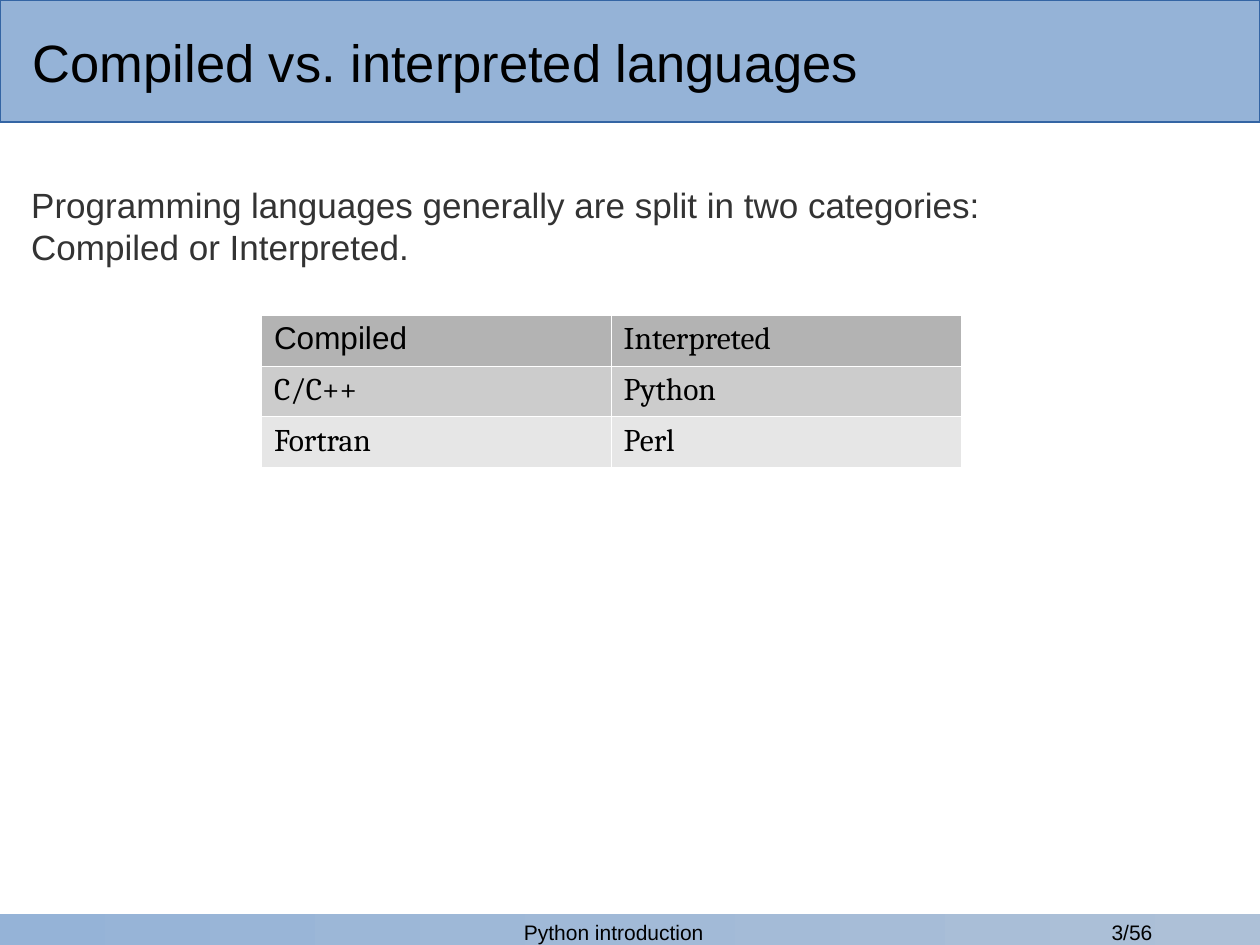
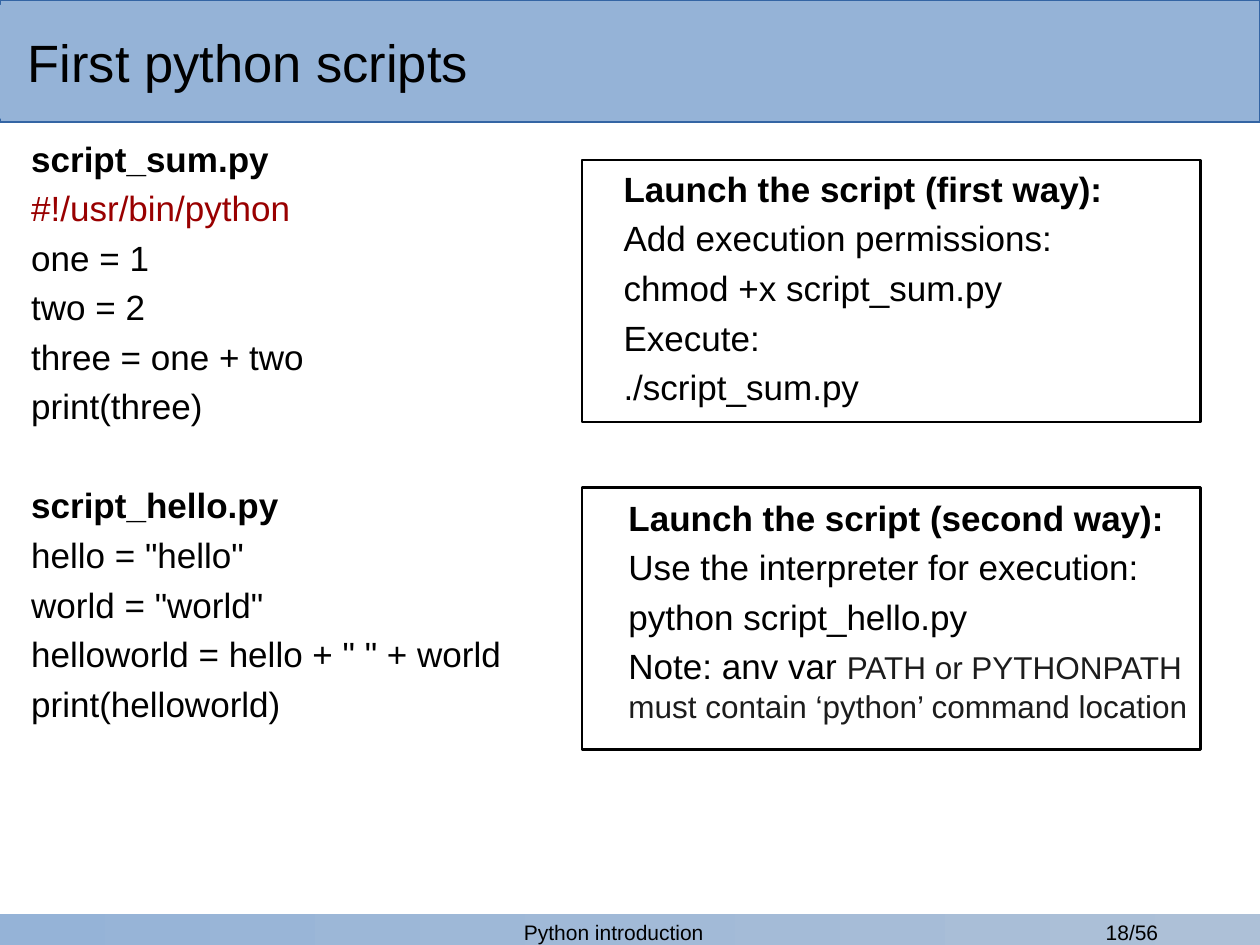
import dataclasses

import lxml.etree
import pptx
import pptx.dml.color
import pptx.enum.shapes
import pptx.enum.text
import pptx.oxml.ns
import pptx.util

Cm = pptx.util.Cm
Pt = pptx.util.Pt
ALIGN = pptx.enum.text.PP_ALIGN
ANCHOR = pptx.enum.text.MSO_ANCHOR
qn = pptx.oxml.ns.qn


@dataclasses.dataclass(frozen=True)
class Theme:
    font: str = "Arial"
    serif: str = "Cambria"
    title_size: int = 30
    body_size: int = 20
    table_size: int = 18
    footer_size: int = 12
    band: str = "95B3D7"
    band_end: str = "ADC0D7"
    band_line: str = "3465A4"
    text: str = "000000"
    intro: str = "333333"
    note: str = "1C1C1C"
    shebang: str = "990000"
    white: str = "FFFFFF"
    rows: tuple = ("B3B3B3", "CCCCCC", "E6E6E6")
    line_gap: float = 4.3
    block_gap: float = 32.6


def rgb(value):
    return pptx.dml.color.RGBColor.from_string(value)


def add_run(p, text, font="Arial", size=20, color="000000", bold=False):
    r = p.add_run()
    r.text = text
    r.font.name = font
    r.font.size = Pt(size)
    r.font.bold = bold
    r.font.color.rgb = rgb(color)


class Deck:
    def __init__(self, theme):
        self.theme = theme
        self.prs = pptx.Presentation()
        self.prs.slide_width = Cm(25.4)
        self.prs.slide_height = Cm(19.05)
        self.s = None

    def slide(self, title, page, title_left=0):
        t = self.theme
        self.s = self.prs.slides.add_slide(self.prs.slide_layouts[5])
        self.rect(0, 0, 25.4, 2.46, fill=t.band, line=t.band_line, weight=0)
        footer = self.rect(0, 18.42, 25.4, 0.63)
        footer.fill.gradient()
        footer.fill.gradient_angle = 0
        for stop, color, position in zip(footer.fill.gradient_stops, (t.band, t.band_end), (0, 1)):
            stop.color.rgb = rgb(color)
            stop.position = position
        for text, left, width in (("Python introduction", 8.26, 8.23), (page, 20.24, 5.16)):
            self.text([text], left, 18.42, width, 0.63, align=ALIGN.CENTER, size=t.footer_size)
        self.title(title, title_left)

    def title(self, text, left):
        t = self.theme
        sp = self.s.shapes.title
        sp.left, sp.top, sp.width, sp.height = Cm(left), Cm(0.1), Cm(20.95), Cm(2.29)
        sp.fill.solid()
        sp.fill.fore_color.rgb = rgb(t.band)
        tf = sp.text_frame
        tf.auto_size = pptx.enum.text.MSO_AUTO_SIZE.NONE
        tf.vertical_anchor = ANCHOR.MIDDLE
        tf.margin_left = Cm(0.56)
        p = tf.paragraphs[0]
        p.alignment = ALIGN.LEFT
        add_run(p, text, font=t.font, size=t.title_size, color=t.text)
        sp.element.getparent().append(sp.element)

    def rect(self, left, top, width, height, fill=None, line=None, weight=1.45):
        sp = self.s.shapes.add_shape(
            pptx.enum.shapes.MSO_SHAPE.RECTANGLE, Cm(left), Cm(top), Cm(width), Cm(height))
        sp.shadow.inherit = False
        if fill:
            sp.fill.solid()
            sp.fill.fore_color.rgb = rgb(fill)
        else:
            sp.fill.background()
        if line:
            sp.line.color.rgb = rgb(line)
            sp.line.width = Pt(weight)
        else:
            sp.line.fill.background()
        return sp

    def text(self, lines, left, top, width, height, gap=0, align=ALIGN.LEFT, **style):
        tf = self.s.shapes.add_textbox(Cm(left), Cm(top), Cm(width), Cm(height)).text_frame
        tf.word_wrap = True
        for i, line in enumerate(lines):
            p = tf.paragraphs[0] if i == 0 else tf.add_paragraph()
            p.alignment = align
            p.space_before = Pt(gap if i else 0)
            for part in line if isinstance(line, list) else [line]:
                text, extra = (part, {}) if isinstance(part, str) else part
                add_run(p, text, **{"font": self.theme.font, **style, **extra})
        return tf

    def table(self, rows, left, top, col_width, heights):
        t = self.theme
        table = self.s.shapes.add_table(
            len(rows), len(rows[0]), Cm(left), Cm(top),
            Cm(col_width * len(rows[0])), Cm(sum(heights))).table
        for column in table.columns:
            column.width = Cm(col_width)
        for i, values in enumerate(rows):
            table.rows[i].height = Cm(heights[i])
            for j, value in enumerate(values):
                cell = table.cell(i, j)
                font = t.font if i == j == 0 else t.serif
                add_run(cell.text_frame.paragraphs[0], value, font=font, size=t.table_size, color=t.text)
                self.borders(cell)
                cell.fill.solid()
                cell.fill.fore_color.rgb = rgb(t.rows[i])

    def borders(self, cell):
        tc_pr = cell._tc.get_or_add_tcPr()
        for side in ("a:lnL", "a:lnR", "a:lnT", "a:lnB"):
            ln = lxml.etree.SubElement(tc_pr, qn(side), w="720")
            fill = lxml.etree.SubElement(ln, qn("a:solidFill"))
            lxml.etree.SubElement(fill, qn("a:srgbClr"), val=self.theme.white)

    def launch_box(self, top, lines, text_left, text_top):
        self.rect(11.73, top, 12.47, 5.28, line=self.theme.text)
        heading = [(lines[0], {"bold": True})]
        self.text([[*heading], *lines[1:]], text_left, text_top, 12.24, 4.93,
                  gap=self.theme.line_gap, size=self.theme.body_size)


def languages_slide(deck):
    t = deck.theme
    deck.slide("Compiled vs. interpreted languages", "3/56", title_left=0.1)
    deck.text(["Programming languages generally are split in two categories:", "Compiled or Interpreted."],
              0.38, 3.58, 23.62, 14.68, size=t.body_size, color=t.intro)
    deck.table([("Compiled", "Interpreted"), ("C/C++", "Python"), ("Fortran", "Perl")],
               5.27, 6.35, 7.05, (1.03, 0.99, 0.98))


def scripts_slide(deck):
    t = deck.theme
    deck.slide("First python scripts", "18/56")
    scripts = deck.text([
        [("script_sum.py", {"bold": True})],
        [("#!/usr/bin/python", {"color": t.shebang})],
        "one = 1",
        "two = 2",
        "three = one + two",
        "print(three)",
        [("script_hello.py", {"bold": True})],
        'hello = "hello"',
        'world = "world"',
        'helloworld = hello + " " + world',
        "print(helloworld)",
    ], 0.38, 2.64, 24.26, 14.78, gap=t.line_gap, size=t.body_size)
    scripts.paragraphs[6].space_before = Pt(t.block_gap)
    deck.launch_box(3.23, [
        "Launch the script (first way):",
        "Add execution permissions:",
        "chmod +x script_sum.py",
        "Execute:",
        "./script_sum.py",
    ], 12.32, 3.25)
    note = ("PATH or PYTHONPATH must contain ‘python’ command location",
            {"size": t.table_size, "color": t.note})
    deck.launch_box(9.83, [
        "Launch the script (second way):",
        "Use the interpreter for execution:",
        "python script_hello.py",
        ["Note: anv var ", note],
    ], 12.42, 9.88)


def main():
    deck = Deck(Theme())
    languages_slide(deck)
    scripts_slide(deck)
    deck.prs.save("out.pptx")


if __name__ == "__main__":
    main()
